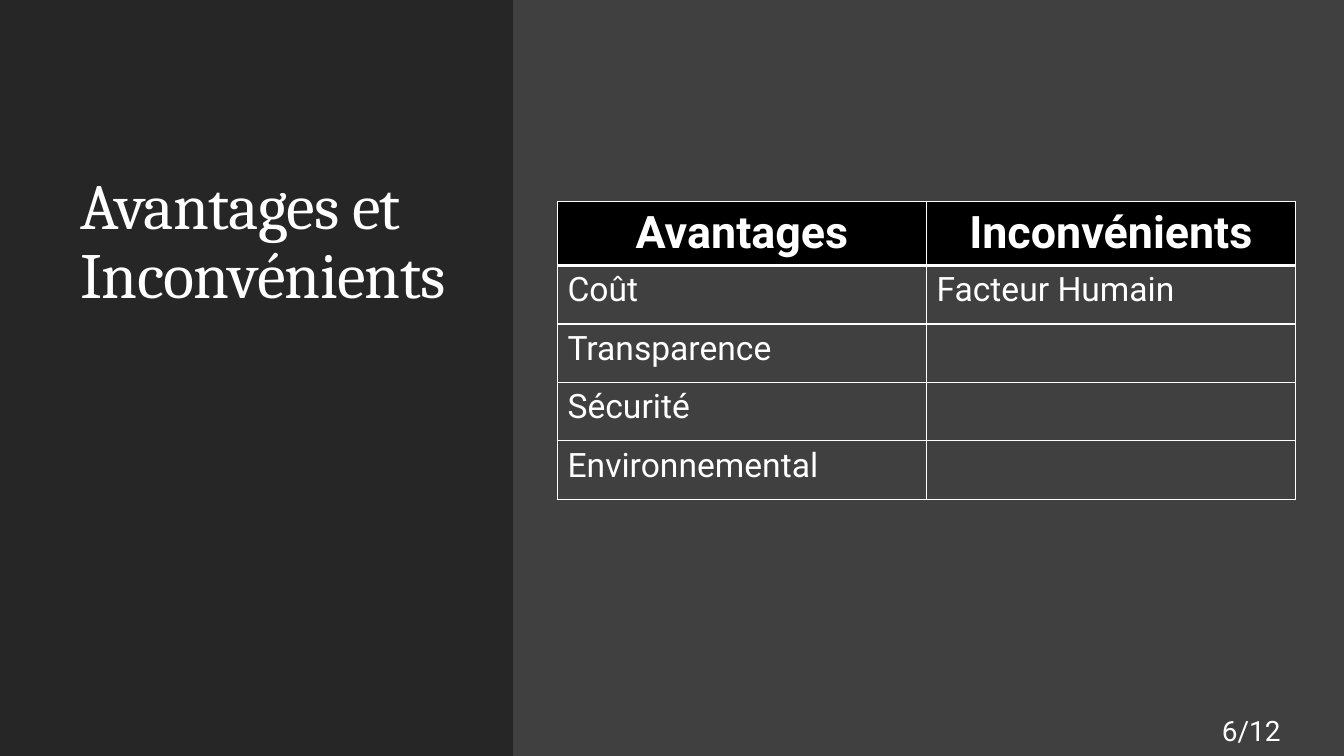
from lxml.etree import SubElement
from pptx import Presentation
from pptx.dml.color import RGBColor
from pptx.enum.shapes import MSO_SHAPE as Shape
from pptx.enum.text import MSO_ANCHOR as Anchor, PP_ALIGN as Align
from pptx.oxml.ns import qn
from pptx.util import Emu, Pt

PX = 9144  # 100 px to the inch
COLORS = {"background": "404040", "panel": "262626", "header": "000000", "light": "FFFFFF"}
HEADING_FONT, BODY_FONT = "Cambria", "Roboto"
BLANK_LAYOUT = 6

ROWS = [
    ("Avantages", "Inconvénients"),
    ("Coût", "Facteur Humain"),
    ("Transparence", ""),
    ("Sécurité", ""),
    ("Environnemental", ""),
]


def px(*lengths):
    return [Emu(length * PX) for length in lengths]


def paint(fill, color):
    fill.solid()
    fill.fore_color.rgb = RGBColor.from_string(COLORS[color])


def add_run(paragraph, text, font, size, bold=False):
    run = paragraph.add_run()
    run.text = text
    run.font.name = font
    run.font.size = Pt(size)
    run.font.bold = bold
    run.font.color.rgb = RGBColor.from_string(COLORS["light"])
    return run


def add_panel(slide, *box):
    shape = slide.shapes.add_shape(Shape.RECTANGLE, *px(*box))
    shape.shadow.inherit = False
    shape.line.fill.background()
    paint(shape.fill, "panel")


def add_text(slide, box, text, font, size, anchor):
    frame = slide.shapes.add_textbox(*px(*box)).text_frame
    frame.word_wrap = True
    frame.vertical_anchor = anchor
    paragraph = frame.paragraphs[0]
    return paragraph, add_run(paragraph, text, font, size)


def add_title(slide, box, text):
    paragraph, run = add_text(slide, box, text, HEADING_FONT, 46, Anchor.BOTTOM)
    paragraph.line_spacing = 0.9
    run.font._element.set("spc", "-50")  # letter spacing, 1/100 pt


def set_borders(cell, widths):
    properties = cell._tc.get_or_add_tcPr()
    for side, width in widths.items():
        line = SubElement(properties, qn(f"a:ln{side}"), w=str(Pt(width)))
        fill = SubElement(line, qn("a:solidFill"))
        SubElement(fill, qn("a:srgbClr"), val=COLORS["light"])


def add_comparison_table(slide, left, top, column_width, row_height):
    row_count, column_count = len(ROWS), len(ROWS[0])
    box = px(left, top, column_width * column_count, row_height * row_count)
    table = slide.shapes.add_table(row_count, column_count, *box).table
    table.first_row = table.horz_banding = False

    for row_index, texts in enumerate(ROWS):
        is_header = row_index == 0
        for column_index, text in enumerate(texts):
            cell = table.cell(row_index, column_index)
            top_width = 3 if row_index == 1 else 1
            set_borders(cell, {"L": 1, "R": 1, "T": top_width, "B": 3 if is_header else 1})
            paragraph = cell.text_frame.paragraphs[0]
            if is_header:
                paint(cell.fill, "header")
                paragraph.alignment = Align.CENTER
            else:
                cell.fill.background()
            if text:
                add_run(paragraph, text, BODY_FONT, 32 if is_header else 24, is_header)


def main():
    presentation = Presentation()
    presentation.slide_width, presentation.slide_height = px(1333, 750)
    slide = presentation.slides.add_slide(presentation.slide_layouts[BLANK_LAYOUT])
    paint(slide.background.fill, "background")

    # Left panel with the title
    add_panel(slide, 0, 0, 509, 750)
    add_title(slide, (70, 86, 385, 229), "Avantages et Inconvénients")

    # Comparison table
    add_comparison_table(slide, 553, 200, column_width=366, row_height=58)

    # Page number
    add_text(slide, (1202, 705, 85, 40), "6/12", BODY_FONT, 20, Anchor.MIDDLE)

    presentation.save("out.pptx")


if __name__ == "__main__":
    main()
